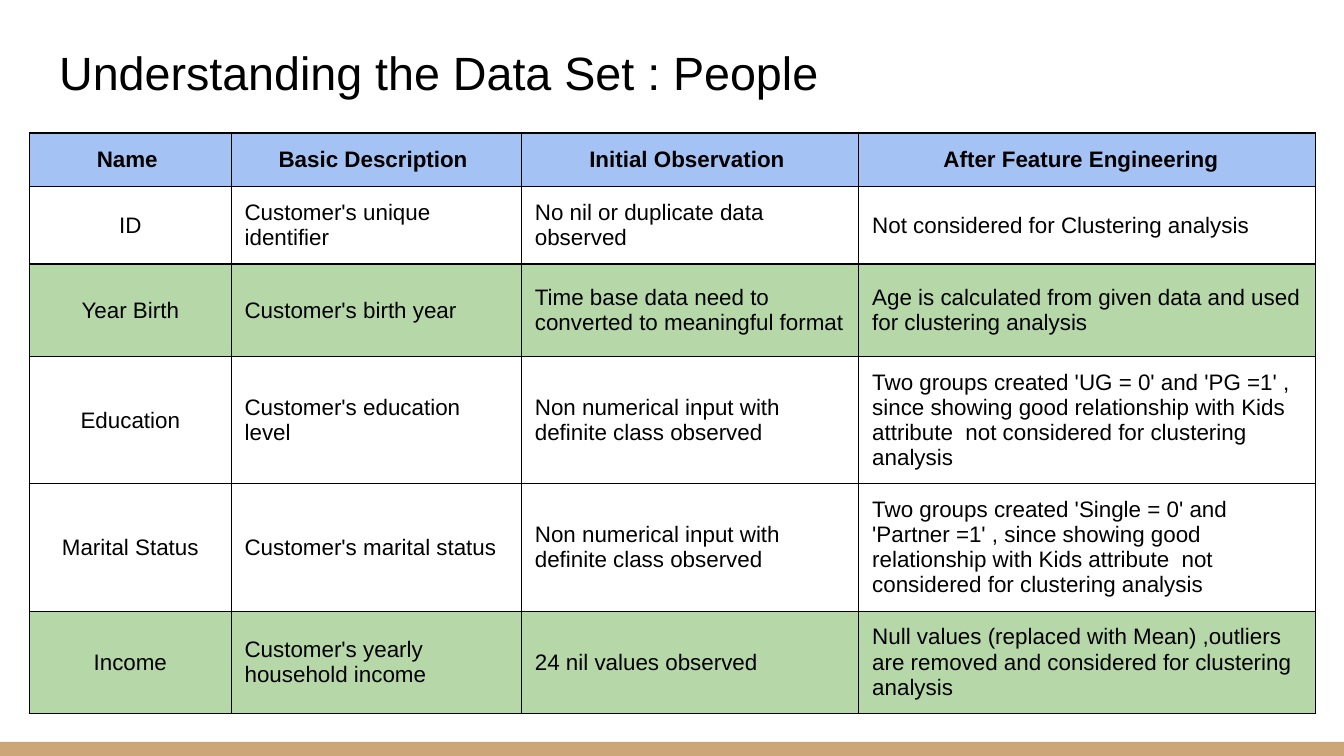
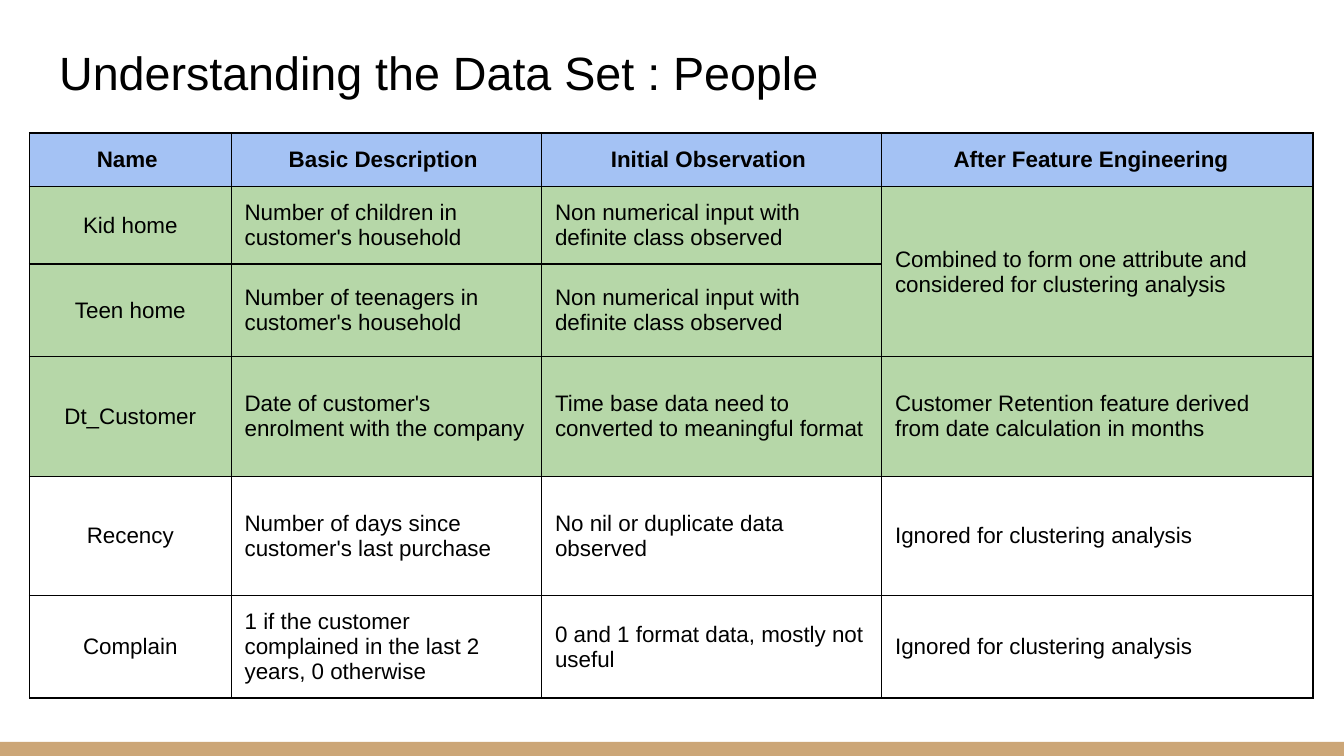
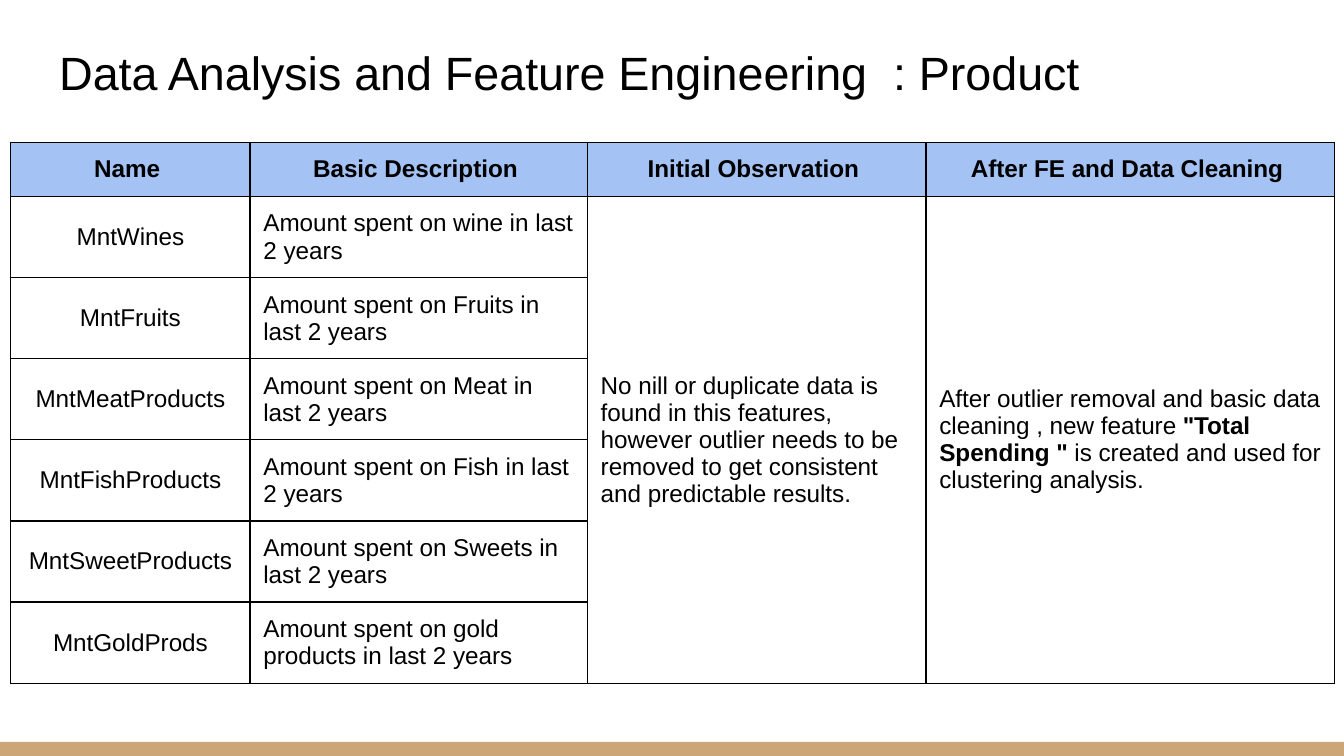
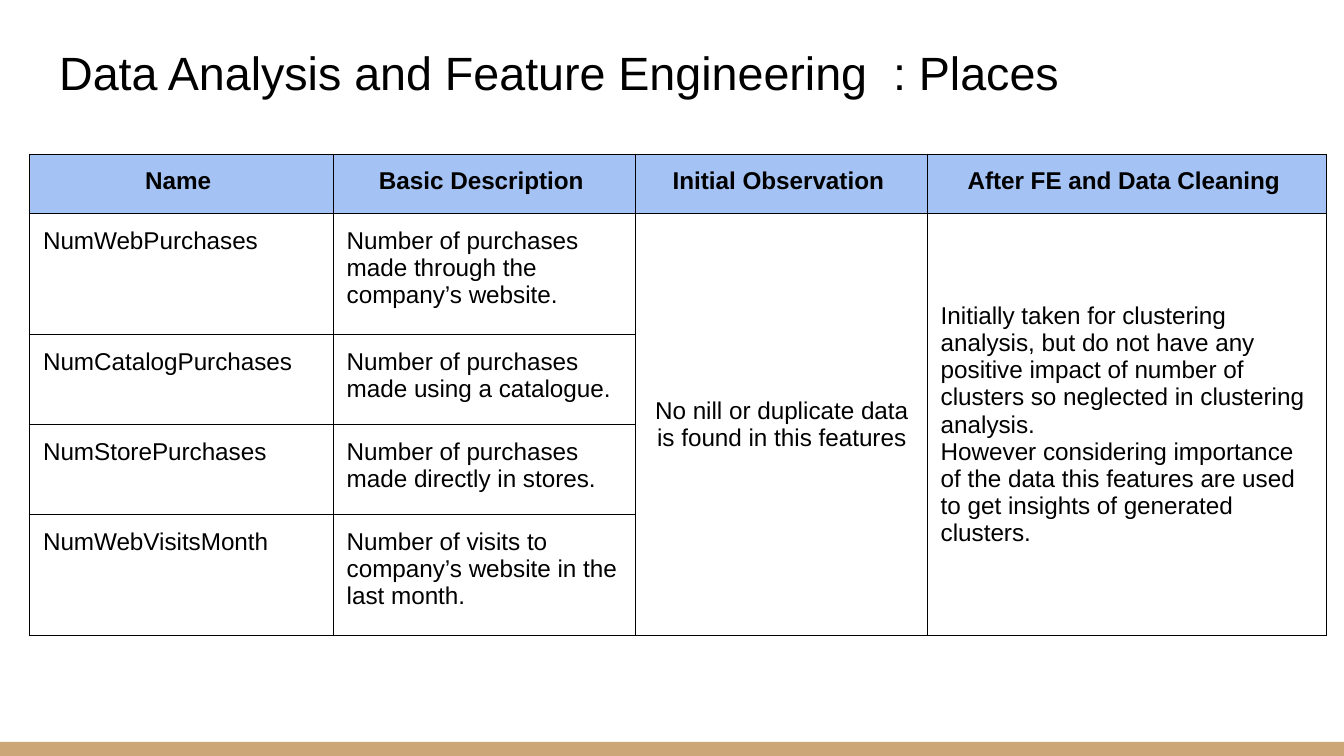
"""Builds four slides of feature tables for a customer data set."""
from pptx import Presentation
from pptx.dml.color import RGBColor
from pptx.enum.shapes import MSO_SHAPE
from pptx.enum.text import MSO_ANCHOR, PP_ALIGN
from pptx.oxml import parse_xml
from pptx.oxml.ns import nsdecls
from pptx.util import Inches, Pt

RECT = MSO_SHAPE.RECTANGLE
TOP, MIDDLE = MSO_ANCHOR.TOP, MSO_ANCHOR.MIDDLE
LEFT, CENTER = PP_ALIGN.LEFT, PP_ALIGN.CENTER
BLACK, WHITE, BLUE, GREEN, TAN = "000000", "FFFFFF", "A4C2F4", "B6D7A8", "CCA677"
PLAIN = "{2D5ABB26-0587-4C30-8999-92F81FD0307C}"
INSET = {f"margin_{side}": Inches(0.1) for side in ("left", "right", "top", "bottom")}

HEAD = ["Name ", "Basic Description ", "Initial Observation "]
ENGINE = HEAD + ["After Feature Engineering  "]
CLEAN = HEAD + ["After FE and Data Cleaning "]
UNIQUE = "No nil or duplicate data observed"
CLASS = "Non numerical input with definite class observed"
TIME = "Time base data need to converted to meaningful format"
KIDS = "since showing good relationship with Kids attribute  not considered for clustering analysis"
IGNORED = "Ignored for clustering analysis"

PAGES = [
    {
        "title": "Understanding the Data Set : People",
        "at": (0.22, 0.99), "size": 12, "green": {2, 5}, "mid": 0, "anchor": MIDDLE,
        "cols": [1.5, 2.16, 2.51, 3.4],
        "rows": [0.4, 0.48, 0.69, 0.89, 0.89, 0.69],
        "cells": [
            ENGINE,
            ["ID", "Customer's unique identifier", UNIQUE,
             "Not considered for Clustering analysis"],
            ["Year Birth", "Customer's birth year", TIME,
             "Age is calculated from given data and used for clustering analysis"],
            ["Education", "Customer's education level", CLASS,
             f"Two groups created 'UG = 0' and 'PG =1' , {KIDS}"],
            ["Marital Status", "Customer's marital status", CLASS,
             f"Two groups created 'Single = 0' and 'Partner =1' , {KIDS}"],
            ["Income", "Customer's yearly household income", "24 nil values observed",
             "Null values (replaced with Mean) ,outliers are removed "
             "and considered for clustering analysis"],
        ],
    },
    {
        "title": "Understanding the Data Set : People",
        "at": (0.22, 0.99), "size": 12, "green": {1, 2, 3}, "mid": 0, "anchor": MIDDLE,
        "cols": [1.5, 2.31, 2.53, 3.21],
        "rows": [0.4, 0.48, 0.69, 0.89, 0.89, 0.69],
        "cells": [
            ENGINE,
            ["Kid home", "Number of children in customer's household", CLASS,
             "Combined to form one attribute and considered for clustering analysis"],
            ["Teen home", "Number of teenagers in customer's household", CLASS, None],
            ["Dt_Customer", "Date of customer's enrolment with the company", TIME,
             "Customer Retention feature derived from date calculation in months"],
            ["Recency", "Number of days since customer's last purchase", UNIQUE, IGNORED],
            ["Complain", "1 if the customer complained in the last 2 years, 0 otherwise",
             "0 and 1 format data, mostly not useful", IGNORED],
        ],
    },
    {
        "title": "Data Analysis and Feature Engineering  : Product",
        "at": (0.08, 1.06), "size": 13, "green": set(), "mid": 0, "anchor": MIDDLE,
        "cols": [1.78, 2.51, 2.52, 3.04],
        "rows": [0.2] * 7,
        "cells": [
            CLEAN,
            ["MntWines", "Amount spent on wine in last 2 years",
             "No nill or duplicate data is found in this features, however outlier needs "
             "to be removed to get consistent and predictable results.",
             "After outlier removal and basic data cleaning , new feature "
             "*\"Total Spending \"* is created and used for clustering analysis."],
            ["MntFruits", "Amount spent on Fruits in last 2 years", None, None],
            ["MntMeatProducts", "Amount spent on Meat in last 2 years", None, None],
            ["MntFishProducts", "Amount spent on Fish in last 2 years", None, None],
            ["MntSweetProducts", "Amount spent on Sweets in last 2 years", None, None],
            ["MntGoldProds", "Amount spent on gold products in last 2 years", None, None],
        ],
    },
    {
        "title": "Data Analysis and Feature Engineering  : Places",
        "at": (0.22, 1.15), "size": 13, "green": set(), "mid": 2, "anchor": TOP,
        "cols": [2.26, 2.25, 2.17, 2.97],
        "rows": [0.44, 0.9, 0.67, 0.67, 0.9],
        "cells": [
            CLEAN,
            ["NumWebPurchases", "Number of purchases made through the company’s website.",
             "No nill or duplicate data is found in this features",
             "Initially taken for clustering analysis, but do not have any positive impact "
             "of number of clusters so neglected in clustering analysis.\n"
             "However considering importance of the data this features are used "
             "to get insights of generated clusters."],
            ["NumCatalogPurchases", "Number of purchases made using a catalogue.", None, None],
            ["NumStorePurchases", "Number of purchases made directly in stores.", None, None],
            ["NumWebVisitsMonth", "Number of visits to company’s website in the last month.",
             None, None],
        ],
    },
]


def paint(part, shade):
    """Give a fill or a font a solid hex colour."""
    if hasattr(part, "solid"):
        part.solid()
        part = part.fore_color
    else:
        part = part.color
    part.rgb = RGBColor.from_string(shade)


def write(frame, text, size, align, bold=False):
    """Write lines of text, where stars enclose bold words."""
    for i, line in enumerate(text.split("\n")):
        para = frame.add_paragraph() if i else frame.paragraphs[0]
        para.alignment = align
        for j, piece in enumerate(line.split("*")):
            run = para.add_run()
            run.text = piece
            style = {"name": "Arial", "size": Pt(size), "bold": bold or j % 2 == 1}
            for key, value in style.items():
                setattr(run.font, key, value)
            paint(run.font, BLACK)


prs = Presentation()
prs.slide_width = Inches(10)
prs.slide_height = prs.slide_width * 9 // 16
master = prs.slide_master
paint(master.background.fill, WHITE)

for page in PAGES:
    slide = prs.slides.add_slide(prs.slide_layouts[5])
    if page is PAGES[0]:
        band = slide.shapes.add_shape(RECT, 0, Inches(5.52), Inches(10), Inches(0.11))
        band.shadow.inherit = False
        paint(band.fill, TAN)
        band.line.fill.background()
        master.shapes._spTree.insert(2, band._element)

    title = slide.shapes.title
    place = {"left": 0.34, "top": 0.08, "width": 9.32, "height": 0.91}
    for key, value in place.items():
        setattr(title, key, Inches(value))
    for key, value in {**INSET, "vertical_anchor": MIDDLE, "word_wrap": True}.items():
        setattr(title.text_frame, key, value)
    write(title.text_frame, page["title"], 25, LEFT)

    cells, cols, rows = page["cells"], page["cols"], page["rows"]
    box = [Inches(n) for n in (*page["at"], sum(cols), sum(rows))]
    table = slide.shapes.add_table(len(rows), len(cols), *box).table
    table._tbl.tblPr[0].text = PLAIN
    table.first_row = table.horz_banding = False
    for col, width in zip(table.columns, cols):
        col.width = Inches(width)
    for row, height in zip(table.rows, rows):
        row.height = Inches(height)

    for r, line in enumerate(cells):
        for c, text in enumerate(line):
            cell = table.cell(r, c)
            if r == 0:
                paint(cell.fill, BLUE)
            elif r in page["green"]:
                paint(cell.fill, GREEN)
            else:
                cell.fill.background()
            for i, side in enumerate("LRTB"):
                edge = parse_xml(
                    f'<a:ln{side} {nsdecls("a")} w="{Pt(0.75)}"><a:solidFill>'
                    f'<a:srgbClr val="{BLACK}"/></a:solidFill></a:ln{side}>')
                cell._tc.get_or_add_tcPr().insert(i, edge)
            if text is None:
                continue
            last = r
            while last + 1 < len(rows) and cells[last + 1][c] is None:
                last += 1
            if last > r:
                cell.merge(table.cell(last, c))
            anchor = MIDDLE if last > r else page["anchor"]
            for key, value in {**INSET, "vertical_anchor": anchor}.items():
                setattr(cell, key, value)
            align = CENTER if r == 0 or c == page["mid"] else LEFT
            write(cell.text_frame, text, page["size"], align, r == 0)

prs.save("out.pptx")
